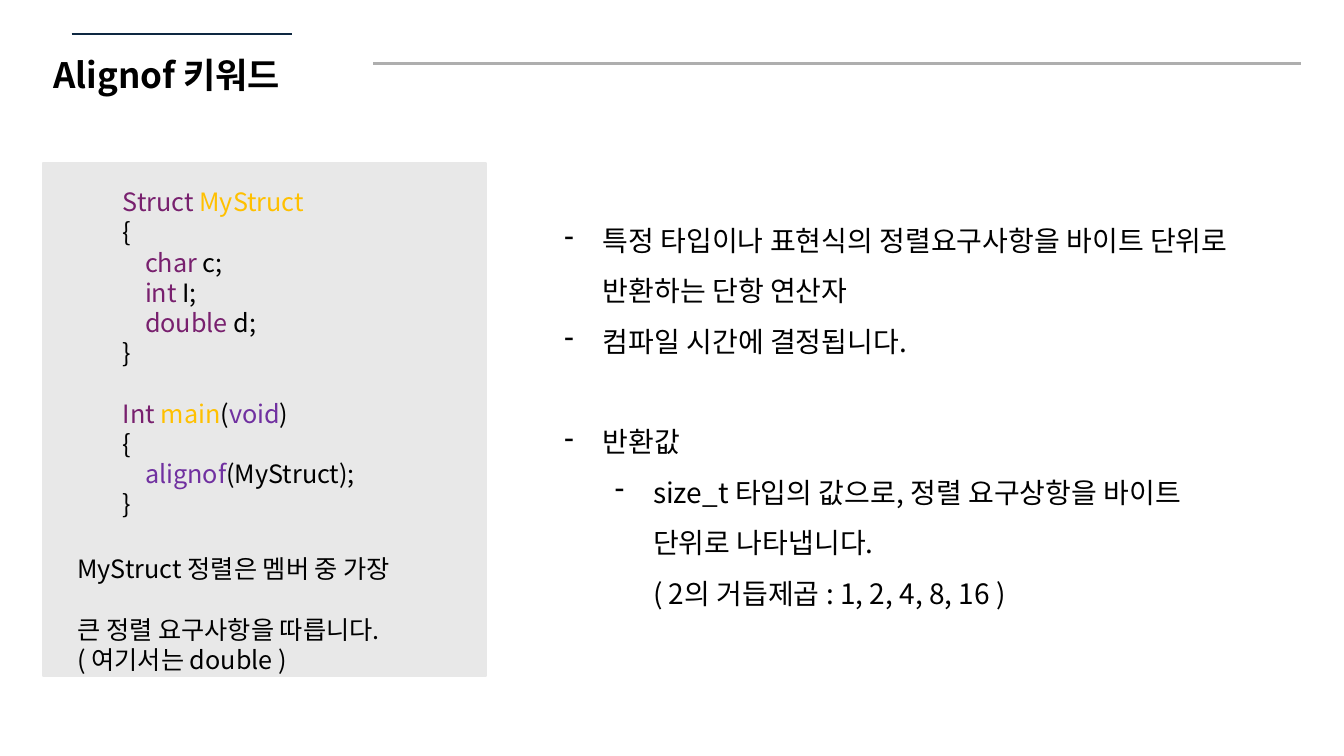
from dataclasses import dataclass

from lxml.etree import SubElement
from pptx import Presentation
from pptx.dml.color import RGBColor
from pptx.enum.shapes import MSO_CONNECTOR as Connector, MSO_SHAPE as Shape
from pptx.enum.text import MSO_AUTO_SIZE as AutoSize
from pptx.oxml.ns import qn
from pptx.slide import Slide
from pptx.util import Inches, Pt

FONT = "Noto Sans CJK KR"
COLORS = {
    "text": "000000",
    "panel": "E8E8E8",
    "accent": "0E2841",
    "rule": "AEAEAE",
    "keyword": "78206E",
    "name": "FFC000",
    "operator": "7030A0",
}


@dataclass(frozen=True)
class Span:
    text: str
    color: str = "text"


@dataclass(frozen=True)
class Line:
    spans: tuple[Span, ...]
    indent: float = 0
    gap: float = 0
    bullet: bool = False
    level: int = 0


@dataclass(frozen=True)
class Block:
    left: float
    top: float
    width: float
    height: float
    size: float
    lines: tuple[Line, ...]
    spacing: float = 1.0
    bold: bool = False


@dataclass(frozen=True)
class Rule:
    left: float
    right: float
    top: float
    color: str


def plain(text: str, indent: float = 0, gap: float = 0) -> Line:
    return Line((Span(text),), indent, gap)


def item(text: str, level: int = 0, gap: float = 0) -> Line:
    return Line((Span(text),), 0.38 + 0.5 * level, gap, True, level)


def member(kind: str, name: str) -> Line:
    return Line((Span(kind, "keyword"), Span(f" {name};")), 0.22)


RULES = (Rule(0.71, 2.9, 0.34, "accent"), Rule(3.7, 12.9, 0.63, "rule"))

BLOCKS = (
    Block(0.43, 0.48, 3.01, 0.52, 25, (plain("Alignof 키워드"),), bold=True),
    Block(5.5, 2, 7.07, 4.07, 20, (
        item("특정 타입이나 표현식의 정렬요구사항을 바이트 단위로 반환하는 단항 연산자"),
        item("컴파일 시간에 결정됩니다."),
        item("반환값", gap=36),
        item("size_t 타입의 값으로, 정렬 요구상항을 바이트 단위로 나타냅니다.\n"
             "( 2의 거듭제곱 : 1, 2, 4, 8, 16 )", level=1),
    ), spacing=1.5),
    Block(1.12, 1.8, 2.78, 3.43, 18, (
        Line((Span("Struct ", "keyword"), Span("MyStruct", "name"))),
        plain("{"),
        member("char", "c"),
        member("int", "I"),
        member("double", "d"),
        plain("}"),
        Line((Span("Int ", "keyword"), Span("main", "name"), Span("("),
              Span("void", "operator"), Span(")")), gap=21.6),
        plain("{"),
        Line((Span("alignof", "operator"), Span("(MyStruct);")), 0.22),
        plain("}"),
    )),
    Block(0.61, 5.44, 3.7, 1.01, 18, (
        plain("MyStruct 정렬은 멤버 중 가장", 0.06),
        plain("큰 정렬 요구사항을 따릅니다.", 0.06, 21.6),
        plain("( 여기서는 double )", 0.06),
    )),
)


def rgb(color: str) -> RGBColor:
    return RGBColor.from_string(COLORS[color])


def draw_panel(slide: Slide) -> None:
    panel = slide.shapes.add_shape(
        Shape.RECTANGLE, Inches(0.43), Inches(1.62), Inches(4.39), Inches(5.09))
    panel.shadow.inherit = False
    panel.fill.solid()
    panel.fill.fore_color.rgb = rgb("panel")
    panel.line.color.rgb = rgb("panel")
    panel.line.width = Pt(1.5)


def draw_rule(slide: Slide, rule: Rule) -> None:
    stroke = slide.shapes.add_connector(
        Connector.STRAIGHT, Inches(rule.left), Inches(rule.top),
        Inches(rule.right), Inches(rule.top))
    stroke.line.color.rgb = rgb(rule.color)
    stroke.line.width = Pt(1.5)
    SubElement(stroke._element.spPr, qn("a:effectLst"))


def draw_block(slide: Slide, block: Block) -> None:
    frame = slide.shapes.add_textbox(
        Inches(block.left), Inches(block.top),
        Inches(block.width), Inches(block.height)).text_frame
    frame.word_wrap = True
    frame.auto_size = AutoSize.SHAPE_TO_FIT_TEXT
    frame.text = "\n".join(
        "\v".join("".join(span.text for span in line.spans).split("\n"))
        if len(line.spans) == 1 else "" for line in block.lines)
    for paragraph, line in zip(frame.paragraphs, block.lines):
        paragraph.level = line.level
        paragraph.line_spacing = block.spacing
        paragraph.space_before = Pt(line.gap)
        properties = paragraph._p.get_or_add_pPr()
        properties.set("marL", str(Inches(line.indent)))
        properties.set("indent", str(Inches(-0.38 if line.bullet else 0)))
        if line.bullet:
            SubElement(properties, qn("a:buFontTx"))
            SubElement(properties, qn("a:buChar"), char="-")
        if len(line.spans) > 1:
            for span in line.spans:
                paragraph.add_run().text = span.text
        colors = [span.color for span in line.spans]
        for index, run in enumerate(paragraph.runs):
            run.font.name = FONT
            run.font.size = Pt(block.size)
            run.font.bold = block.bold
            run.font.color.rgb = rgb(colors[min(index, len(colors) - 1)])
            SubElement(run.font._element, qn("a:ea"), typeface=FONT)


def main() -> None:
    presentation = Presentation()
    presentation.slide_width = Inches(13.33)
    presentation.slide_height = Inches(7.5)
    slide = presentation.slides.add_slide(presentation.slide_layouts[6])
    draw_panel(slide)
    for rule in RULES:
        draw_rule(slide, rule)
    for block in BLOCKS:
        draw_block(slide, block)
    presentation.save("out.pptx")


if __name__ == "__main__":
    main()
